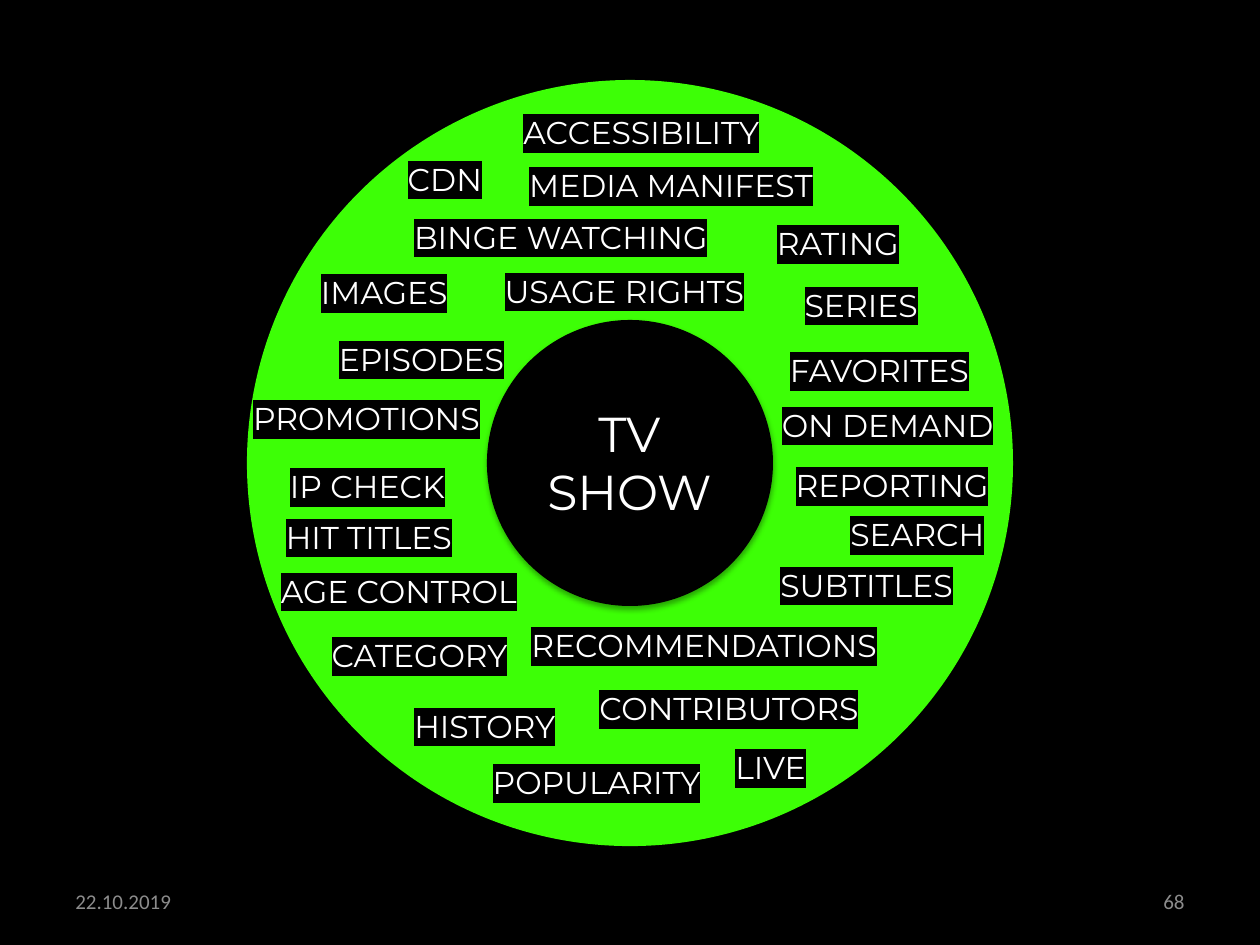
"""Build a slide with a ring of topic labels around a TV show."""
from lxml.etree import SubElement
from pptx import Presentation
from pptx.dml.color import RGBColor
from pptx.enum.shapes import MSO_SHAPE
from pptx.enum.text import MSO_ANCHOR, MSO_AUTO_SIZE, PP_ALIGN
from pptx.oxml import parse_xml
from pptx.oxml.ns import nsdecls, qn
from pptx.util import Inches, Pt

BLACK = RGBColor(0x00, 0x00, 0x00)
WHITE = RGBColor(0xFF, 0xFF, 0xFF)
GREEN = RGBColor(0x3D, 0xFF, 0x06)
GRAY = RGBColor(0x8C, 0x8C, 0x8C)
LEFT, CENTER, RIGHT = PP_ALIGN.LEFT, PP_ALIGN.CENTER, PP_ALIGN.RIGHT

prs = Presentation()
prs.slide_width, prs.slide_height = Inches(10), Inches(7.5)
W, H = prs.slide_width / 100, prs.slide_height / 100
s = prs.slides.add_slide(prs.slide_layouts[6])
s.background.fill.solid()
s.background.fill.fore_color.rgb = BLACK


def add_text(text, x, y, w, h, size=18, font="Montserrat", color=WHITE,
             align=CENTER, anchor=MSO_ANCHOR.TOP, wrap=False, highlight=None):
    """Add a text box placed in percent of the slide's width and height."""
    sp = s.shapes.add_textbox(int(x * W), int(y * H), int(w * W), int(h * H))
    tf = sp.text_frame
    tf.word_wrap = wrap
    tf.auto_size = MSO_AUTO_SIZE.NONE if wrap else MSO_AUTO_SIZE.SHAPE_TO_FIT_TEXT
    tf.vertical_anchor = anchor
    for i, line in enumerate(text.split("\n")):
        p = tf.paragraphs[0] if i == 0 else tf.add_paragraph()
        p.alignment = align
        r = p.add_run()
        r.text = line
        r.font.size, r.font.name = Pt(size), font
        r.font.color.rgb = color
        if highlight is not None:
            fill = r.font._element.find(qn("a:solidFill")) if hasattr(r.font, "_element") else r._r.rPr.find(qn("a:solidFill"))
            fill.addnext(parse_xml(
                f'<a:highlight {nsdecls("a")}><a:srgbClr val="{highlight}"/></a:highlight>'))


def add_disc(diameter, color):
    """Add a shadowed disc centred on the ring, sized in percent of the width."""
    d = diameter * W
    sp = s.shapes.add_shape(MSO_SHAPE.OVAL, int(50 * W - d / 2), int(49 * H - d / 2), int(d), int(d))
    sp.fill.solid()
    sp.fill.fore_color.rgb = color
    sp.line.fill.background()
    sp.shadow.inherit = False
    effects = sp._element.spPr.find(qn("a:effectLst"))
    shadow = SubElement(effects, qn("a:outerShdw"), blurRad="40000", dist="23000",
                        dir="5400000", rotWithShape="0")
    tint = SubElement(shadow, qn("a:srgbClr"), val=str(BLACK))
    SubElement(tint, qn("a:alpha"), val="35000")
    return sp


add_disc(60.8, GREEN)

for text, x, align in [("22.10.2019", 5, LEFT), ("68", 71.7, RIGHT)]:
    add_text(text, x, 92.67, 23.3, 5.33, size=12, font="Calibri", color=GRAY,
             align=align, anchor=MSO_ANCHOR.MIDDLE, wrap=True)

LABELS = [
    ("SERIES", 62.6, 29.6, 11.5, CENTER),
    ("FAVORITES", 61, 36.53, 17.6, CENTER),
    ("SEARCH", 66.2, 53.87, 13.2, CENTER),
    ("SUBTITLES", 59.9, 59.2, 16.7, RIGHT),
    ("PROMOTIONS", 19.1, 41.6, 20.8, LEFT),
    ("BINGE WATCHING", 31.1, 22.4, 26.8, CENTER),
    ("HIT TITLES", 21.7, 54.13, 16.4, LEFT),
    ("RECOMMENDATIONS", 41.2, 65.6, 30.6, LEFT),
    ("HISTORY", 31.9, 74.13, 14, LEFT),
    ("EPISODES", 25.6, 35.33, 15.7, CENTER),
    ("ACCESSIBILITY", 39.7, 11.33, 22.4, CENTER),
    ("REPORTING", 61.8, 48.67, 18, CENTER),
    ("POPULARITY", 37.5, 80.13, 19.7, CENTER),
    ("RATING", 60.3, 23.07, 12.4, CENTER),
    ("USAGE RIGHTS", 38.5, 28.13, 22.1, CENTER),
    ("CONTRIBUTORS", 46, 72.27, 23.7, CENTER),
    ("AGE CONTROL", 20.8, 59.87, 21.7, CENTER),
    ("IP CHECK", 21.7, 48.8, 14.9, CENTER),
    ("CATEGORY", 24.8, 66.67, 17, CENTER),
    ("IMAGES", 24.2, 28.27, 12.6, CENTER),
    ("MEDIA MANIFEST", 40.3, 16.93, 25.9, CENTER),
    ("CDN", 31.3, 16.27, 8, CENTER),
    ("LIVE", 57.1, 78.53, 8.1, CENTER),
    ("ON DEMAND", 60.8, 42.27, 19.3, CENTER),
]
for text, x, y, w, align in LABELS:
    add_text(text, x, y, w, 5.33, align=align, highlight=BLACK)

hub = add_disc(22.6, BLACK)
hub.line.color.rgb = BLACK
hub.line.width = Pt(0.75)
add_text("TV\nSHOW", 42, 42, 15.9, 13.87, size=28)

prs.save("out.pptx")
